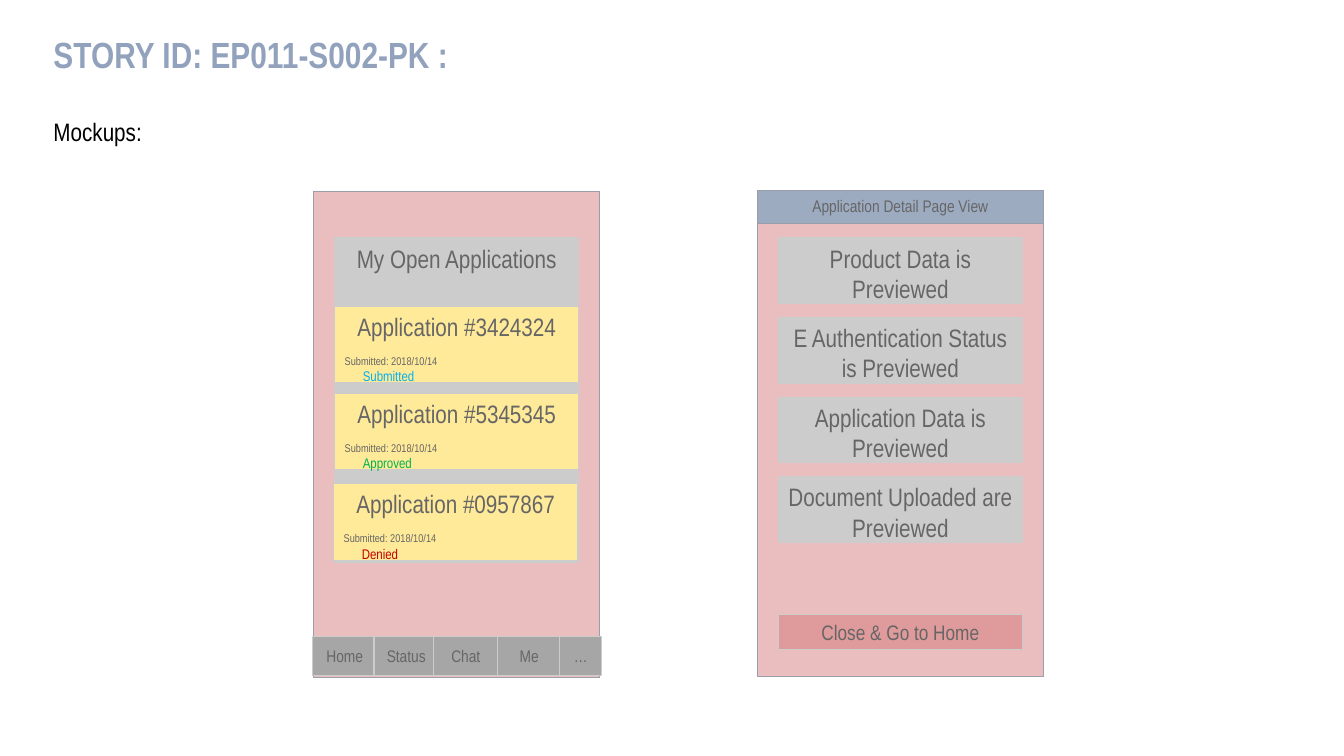
from dataclasses import dataclass

from pptx import Presentation
from pptx.dml.color import RGBColor
from pptx.enum.shapes import MSO_SHAPE
from pptx.enum.text import MSO_ANCHOR, PP_ALIGN
from pptx.util import Inches, Pt

RECT = MSO_SHAPE.RECTANGLE
TOP, MIDDLE = MSO_ANCHOR.TOP, MSO_ANCHOR.MIDDLE
LEFT, CENTER = PP_ALIGN.LEFT, PP_ALIGN.CENTER
FONT = "Arial Narrow"
TEXT, PALE, EDGE = "666666", "CCCCCC", "9A9EAA"
PINK, YELLOW, GREY, BLUE, ROSE = "EABEBF", "FFEA99", "A6A6A6", "9DABC1", "DF9A9C"


@dataclass
class Line:
    text: str
    size: float = 18
    color: str = TEXT
    align: PP_ALIGN = CENTER
    bold: bool = False
    before: float = 0
    indent: float = 0


@dataclass
class Card:
    left: float
    top: float
    number: str
    status: str
    color: str


@dataclass
class Tab:
    left: float
    width: float
    label: str


def rgb(color: str) -> RGBColor:
    return RGBColor.from_string(color)


def write(frame, lines: list[Line]) -> None:
    frame.word_wrap = True
    for i, line in enumerate(lines):
        para = frame.add_paragraph() if i else frame.paragraphs[0]
        para.alignment = line.align
        para.space_before = Pt(line.before)
        if line.indent:
            para._p.get_or_add_pPr().set("marL", str(Inches(line.indent)))
        run = para.add_run()
        run.text = line.text
        font = run.font
        font.name, font.size, font.bold = FONT, Pt(line.size), line.bold
        font.color.rgb = rgb(line.color)


def label(slide, top: float, height: float, line: Line):
    shape = slide.shapes.add_textbox(Inches(0.53), Inches(top), Inches(12.28), Inches(height))
    frame = shape.text_frame
    frame.margin_left = frame.margin_top = frame.margin_right = frame.margin_bottom = 0
    write(frame, [line])
    return frame.paragraphs[0]


def box(slide, left: float, top: float, width: float, height: float, fill: str,
        lines: list[Line], edge: str = PALE, anchor: MSO_ANCHOR = TOP) -> None:
    shape = slide.shapes.add_shape(RECT, Inches(left), Inches(top), Inches(width), Inches(height))
    shape.shadow.inherit = False
    shape.fill.solid()
    shape.fill.fore_color.rgb = rgb(fill)
    shape.line.color.rgb = rgb(edge)
    shape.line.width = Pt(0.75)
    shape.text_frame.vertical_anchor = anchor
    write(shape.text_frame, lines)


CARDS = [
    Card(3.32, 3.04, "3424324", "Submitted", "00B0F0"),
    Card(3.32, 3.9, "5345345", "Approved", "00B050"),
    Card(3.31, 4.8, "0957867", "Denied", "C00000"),
]
TABS = [
    Tab(3.1, 0.64, "Home"),
    Tab(3.71, 0.64, "Status"),
    Tab(4.3, 0.64, "Chat"),
    Tab(4.93, 0.64, "Me"),
    Tab(5.55, 0.42, "…"),
]
ROWS = [
    "Product Data is Previewed",
    "E Authentication Status is Previewed",
    "Application Data is Previewed",
    "Document Uploaded are Previewed",
]


def main() -> None:
    deck = Presentation()
    deck.slide_width, deck.slide_height = Inches(13.33), Inches(7.5)
    slide = deck.slides.add_slide(deck.slide_layouts[6])

    # Headings
    title = label(slide, 0.38, 0.77, Line("STORY ID: EP011-S002-PK :", 26, "92A2BD", LEFT, True))
    title.line_spacing = Pt(27)
    label(slide, 1.15, 0.4, Line("Mockups:", 18, "000000", LEFT))

    # List screen with its cards
    box(slide, 3.11, 1.9, 2.84, 4.82, PINK, [], EDGE)
    box(slide, 3.32, 2.36, 2.42, 3.22, PALE, [Line("My Open Applications")])
    for card in CARDS:
        box(slide, card.left, card.top, 2.42, 0.76, YELLOW, [
            Line(f"Application #{card.number}"),
            Line("Submitted: 2018/10/14", 8, align=LEFT, before=9),
            Line(card.status, 10, card.color, LEFT, indent=0.18),
        ])

    # Tab bar
    for tab in TABS:
        box(slide, tab.left, 6.31, tab.width, 0.39, GREY, [Line(tab.label, 12)], anchor=MIDDLE)

    # Detail screen
    box(slide, 7.51, 1.89, 2.84, 4.82, PINK, [], EDGE)
    box(slide, 7.51, 1.89, 2.84, 0.33, BLUE, [Line("Application Detail Page View", 12)], EDGE)
    for i, row in enumerate(ROWS):
        box(slide, 7.72, 2.36 + 0.79 * i, 2.42, 0.65, PALE, [Line(row)])
    box(slide, 7.72, 6.1, 2.42, 0.34, ROSE, [Line("Close & Go to Home", 15)])

    deck.save("out.pptx")


if __name__ == "__main__":
    main()
